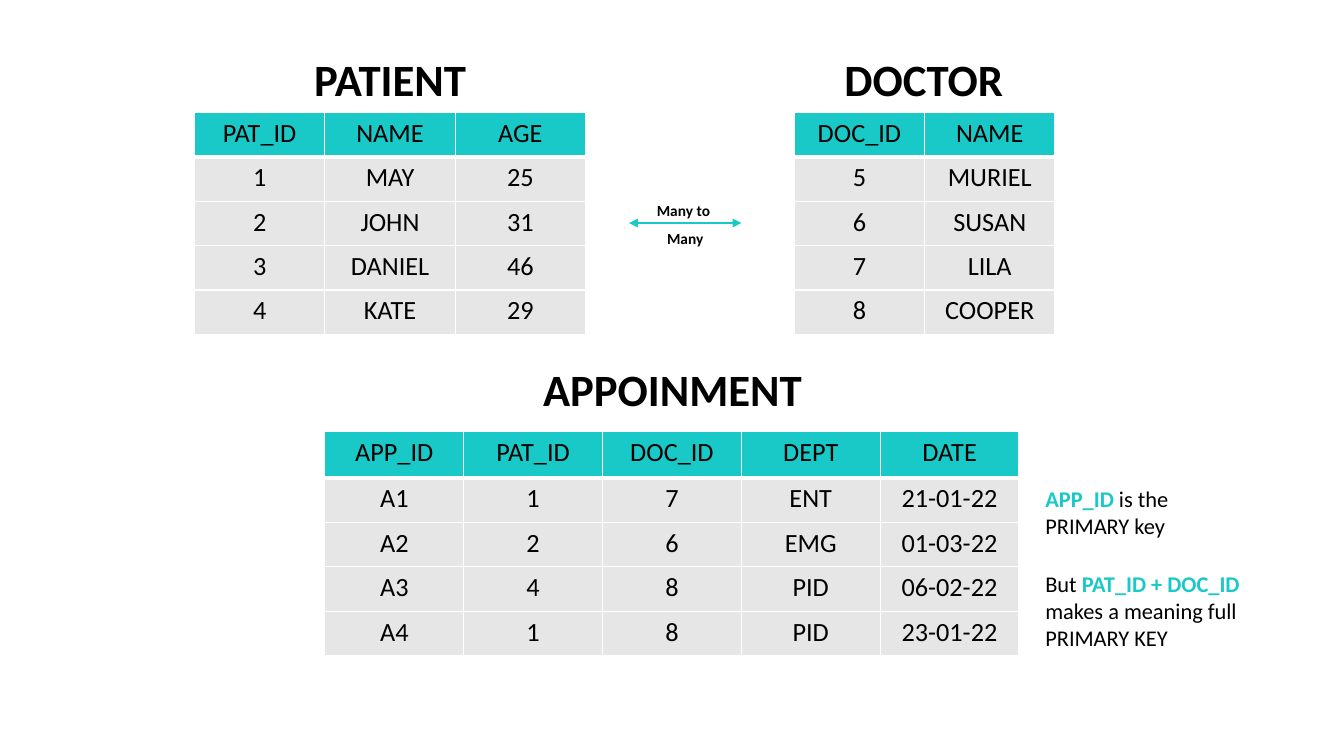
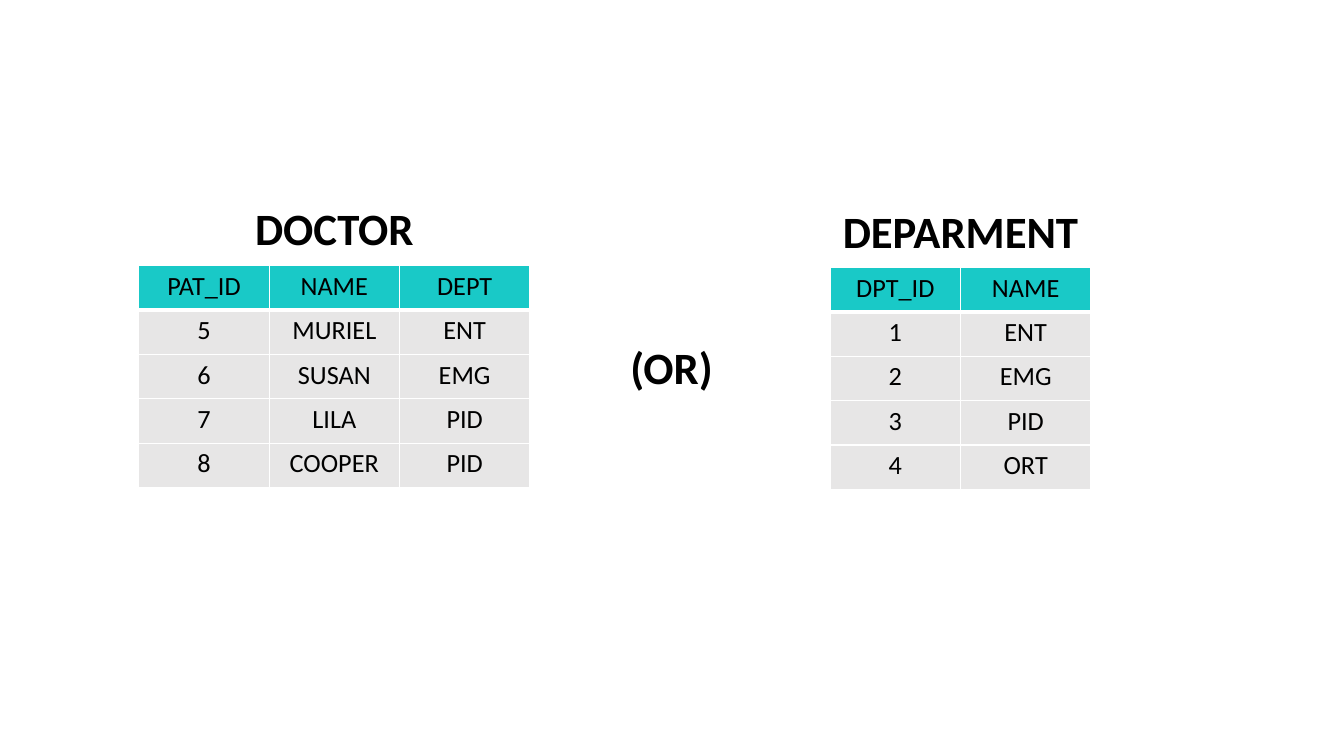
from lxml import etree
from pptx import Presentation
from pptx import util as u
from pptx.dml.color import RGBColor
from pptx.enum import shapes, text
from pptx.oxml.ns import qn

PX = 9144  # 100 px to the inch
FONT = "Calibri"
TEAL, GREY, WHITE, BLACK = "19C9C7", "E7E6E6", "FFFFFF", "000000"
TITLE_SIZE, CELL_SIZE, NOTE_SIZE, LINK_SIZE = 34.1, 20, 17.1, 11.7
ROW_H = 47
TITLE_H = 68

# Tables: left, top, column width, header height, rows
# Titles: text, left, top, width
SLIDES = [
    {
        "tables": [
            (206, 119, 138, 47, [
                ("PAT_ID", "NAME", "AGE"),
                ("1", "MAY", "25"),
                ("2", "JOHN", "31"),
                ("3", "DANIEL", "46"),
                ("4", "KATE", "29"),
            ]),
            (344, 457, 147, 49, [
                ("APP_ID", "PAT_ID", "DOC_ID", "DEPT", "DATE"),
                ("A1", "1", "7", "ENT", "21-01-22"),
                ("A2", "2", "6", "EMG", "01-03-22"),
                ("A3", "4", "8", "PID", "06-02-22"),
                ("A4", "1", "8", "PID", "23-01-22"),
            ]),
            (841, 119, 138, 47, [
                ("DOC_ID", "NAME"),
                ("5", "MURIEL"),
                ("6", "SUSAN"),
                ("7", "LILA"),
                ("8", "COOPER"),
            ]),
        ],
        "titles": [
            ("PATIENT", 314, 50, 198),
            ("DOCTOR", 879, 50, 198),
            ("APPOINMENT", 554, 378, 316),
        ],
    },
    {
        "tables": [
            (147, 281, 138, 47, [
                ("PAT_ID", "NAME", "DEPT"),
                ("5", "MURIEL", "ENT"),
                ("6", "SUSAN", "EMG"),
                ("7", "LILA", "PID"),
                ("8", "COOPER", "PID"),
            ]),
            (879, 283, 138, 47, [
                ("DPT_ID", "NAME"),
                ("1", "ENT"),
                ("2", "EMG"),
                ("3", "PID"),
                ("4", "ORT"),
            ]),
        ],
        "titles": [
            ("DOCTOR", 255, 208, 198),
            ("DEPARMENT", 865, 211, 304),
            ("(OR)", 612, 355, 198),
        ],
    },
]

# Key notes: box, then paragraphs of (words, is a key)
KEY_NOTES = [
    ((1097, 508, 178, 68), [[("APP_ID ", True), ("is the PRIMARY key", False)]]),
    ((1097, 598, 230, 96), [
        [("But ", False), ("PAT_ID + DOC_ID ", True), ("makes a meaning full", False)],
        [("PRIMARY KEY", False)],
    ]),
]
LINK_ARROW = (666, 236, 785, 236)
LINK_BOX = (671, 208, 109, 56)
LINK_WORDS = ["Many to ", "Many"]


def px(*lengths):
    return [u.Emu(length * PX) for length in lengths]


def rgb(color):
    return RGBColor.from_string(color)


def add_run(paragraph, words, size, color=BLACK, bold=False):
    run = paragraph.add_run()
    run.text = words
    run.font.name, run.font.size, run.font.bold = FONT, u.Pt(size), bold
    run.font.color.rgb = rgb(color)


def add_text(slide, box, paragraphs, size, align):
    """Each paragraph is a list of (words, colour, bold)."""
    frame = slide.shapes.add_textbox(*px(*box)).text_frame
    frame.word_wrap = True
    frame.auto_size = text.MSO_AUTO_SIZE.SHAPE_TO_FIT_TEXT
    for index, runs in enumerate(paragraphs):
        paragraph = frame.add_paragraph() if index else frame.paragraphs[0]
        paragraph.alignment = align
        for words, color, bold in runs:
            add_run(paragraph, words, size, color, bold)
    return frame


def add_borders(cell, bottom):
    cell_props = cell._tc.get_or_add_tcPr()
    for side, width in (("L", 1), ("R", 1), ("T", 1), ("B", bottom)):
        line = etree.SubElement(cell_props, qn(f"a:ln{side}"), w=str(u.Pt(width)))
        fill = etree.SubElement(line, qn("a:solidFill"))
        etree.SubElement(fill, qn("a:srgbClr"), val=WHITE)


def add_data_table(slide, left, top, col_w, header_h, rows):
    cols = len(rows[0])
    height = header_h + ROW_H * (len(rows) - 1)
    table = slide.shapes.add_table(
        len(rows), cols, *px(left, top, col_w * cols, height)).table
    table.horz_banding = False
    for column in table.columns:
        column.width = u.Emu(col_w * PX)
    for r, row in enumerate(rows):
        table.rows[r].height = u.Emu((ROW_H if r else header_h) * PX)
        for c, value in enumerate(row):
            cell = table.cell(r, c)
            cell.margin_left, cell.margin_right = px(11, 11)
            cell.margin_top, cell.margin_bottom = px(5, 5)
            add_borders(cell, bottom=1 if r else 3)
            cell.fill.solid()
            cell.fill.fore_color.rgb = rgb(GREY if r else TEAL)
            paragraph = cell.text_frame.paragraphs[0]
            paragraph.alignment = text.PP_ALIGN.CENTER
            add_run(paragraph, value, CELL_SIZE)


def add_link(slide):
    # Double-headed arrow between patient and doctor
    arrow = slide.shapes.add_connector(shapes.MSO_CONNECTOR.STRAIGHT, *px(*LINK_ARROW))
    arrow.line.color.rgb = rgb(TEAL)
    arrow.line.width = u.Pt(2.25)
    line = arrow.line._get_or_add_ln()
    for end in ("headEnd", "tailEnd"):
        etree.SubElement(line, qn(f"a:{end}"), type="triangle")
    etree.SubElement(arrow._element.spPr, qn("a:effectLst"))
    # Words above and below the arrow
    frame = add_text(slide, LINK_BOX, [[(words, BLACK, True)] for words in LINK_WORDS],
                     LINK_SIZE, text.PP_ALIGN.CENTER)
    frame.paragraphs[1].line_spacing = 1.5


def add_key_notes(slide):
    for box, paragraphs in KEY_NOTES:
        styled = [[(words, TEAL if key else BLACK, key) for words, key in runs]
                  for runs in paragraphs]
        add_text(slide, box, styled, NOTE_SIZE, text.PP_ALIGN.LEFT)


def main():
    deck = Presentation()
    deck.slide_width, deck.slide_height = px(1423, 800)
    for content in SLIDES:
        slide = deck.slides.add_slide(deck.slide_layouts[6])
        for data in content["tables"]:
            add_data_table(slide, *data)
        for title, left, top, width in content["titles"]:
            add_text(slide, (left, top, width, TITLE_H), [[(title, BLACK, True)]],
                     TITLE_SIZE, text.PP_ALIGN.CENTER)
    # The first slide also explains the relation and its keys
    relation = deck.slides[0]
    add_link(relation)
    add_key_notes(relation)
    deck.save("out.pptx")


if __name__ == "__main__":
    main()
